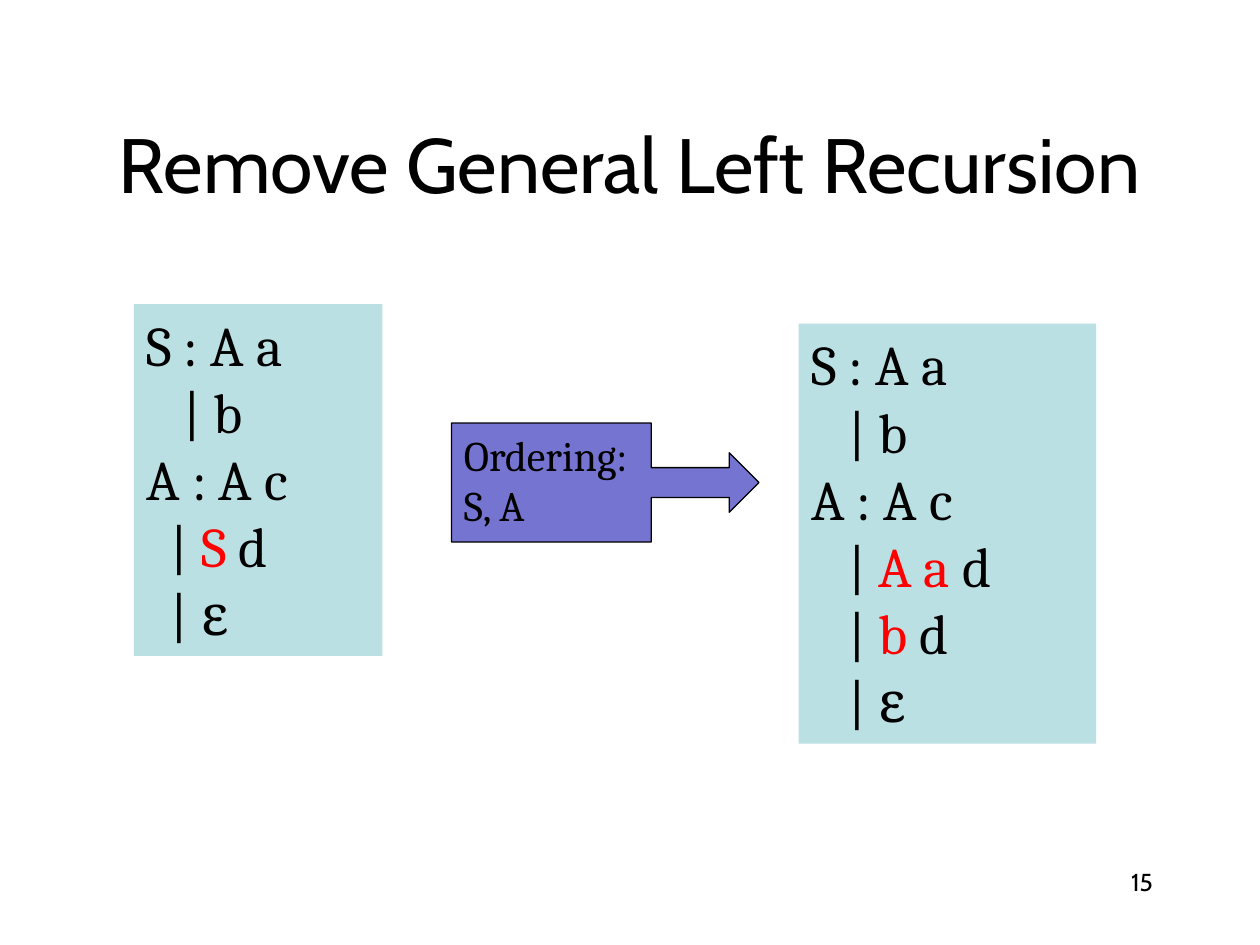
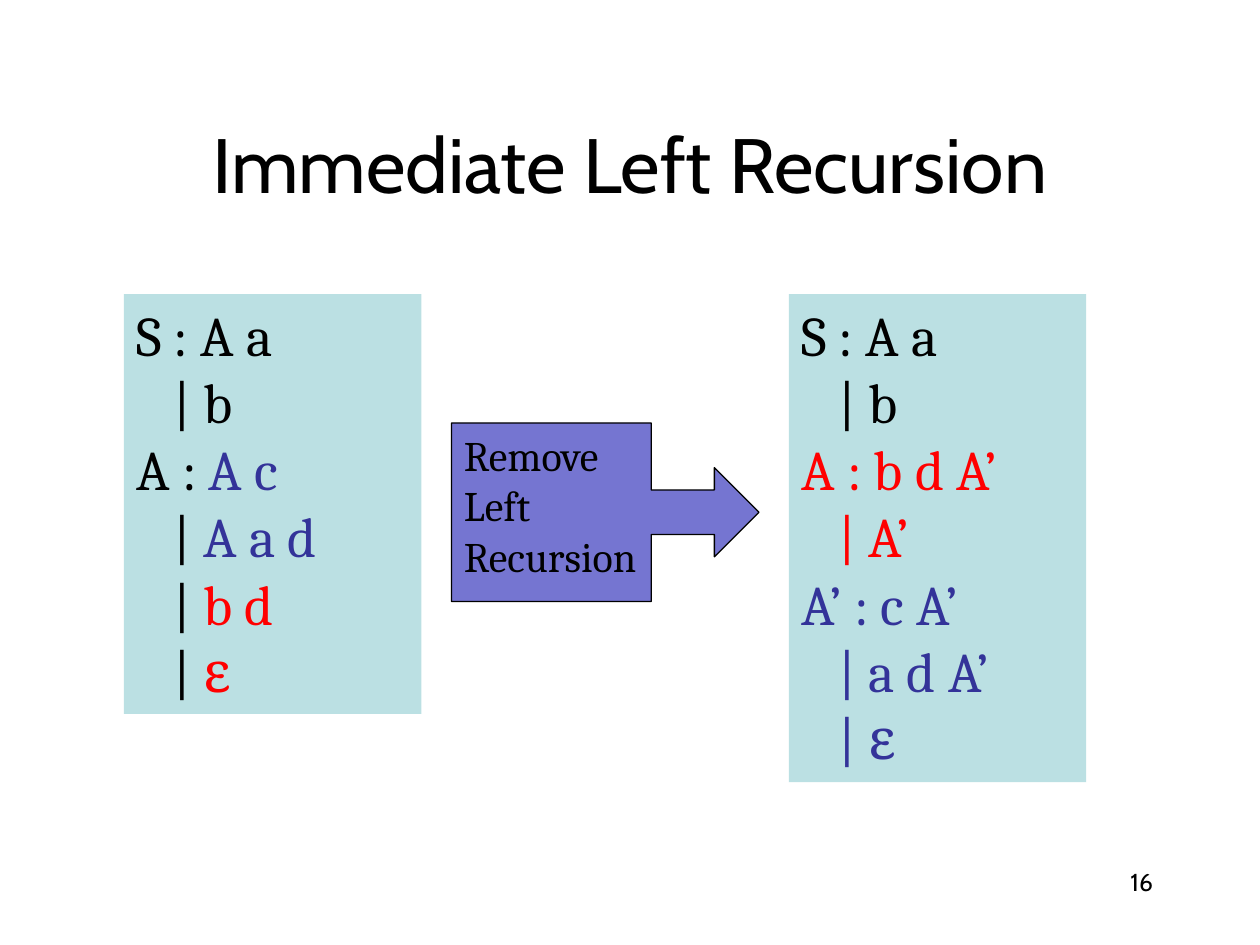
import pptx
import pptx.util
import pptx.dml.color
import pptx.enum.shapes
import pptx.enum.text

Pt = pptx.util.Pt
Color = pptx.dml.color.RGBColor
Shape = pptx.enum.shapes.MSO_SHAPE
Align = pptx.enum.text.PP_ALIGN
Anchor = pptx.enum.text.MSO_ANCHOR

BLACK = Color(0x00, 0x00, 0x00)
RED = Color(0xFF, 0x00, 0x00)
BLUE = Color(0x33, 0x33, 0x99)
PALE = Color(0xBB, 0xE0, 0xE3)
VIOLET = Color(0x75, 0x75, 0xD1)
WHITE = Color(0xFF, 0xFF, 0xFF)
HEAD, BODY = "Cabin", "Cambria"
SPACE = 7.04
LINE, PAD = 39, 6

START = [(0, [("S : A a", BLACK)]), (3, [("| b", BLACK)])]

SLIDES = [
    {
        "title": "Remove General Left Recursion",
        "page": "15",
        "step": ["Ordering:", "S, A"],
        "tall": 68,
        "rules": [
            (76.5, 173.75, 142, START + [
                (0, [("A : A c", BLACK)]),
                (2, [("| ", BLACK), ("S", RED), (" d", BLACK)]),
                (2, [("| ε", BLACK)]),
            ]),
            (456.4, 185, 170, START + [
                (0, [("A : A c", BLACK)]),
                (3, [("| ", BLACK), ("A a", RED), (" d", BLACK)]),
                (3, [("| ", BLACK), ("b", RED), (" d", BLACK)]),
                (3, [("| ε", BLACK)]),
            ]),
        ],
    },
    {
        "title": "Immediate Left Recursion",
        "page": "16",
        "step": ["Remove Left Recursion"],
        "tall": 102,
        "rules": [
            (70.75, 168, 170, START + [
                (0, [("A : ", BLACK), ("A c", BLUE)]),
                (3, [("| ", BLACK), ("A a d", BLUE)]),
                (3, [("| ", BLACK), ("b d", RED)]),
                (3, [("| ", BLACK), ("ε", RED)]),
            ]),
            (450.75, 168, 170, START + [
                (0, [("A : b d A’", RED)]),
                (3, [("| A’", RED)]),
                (0, [("A’ : c A’", BLUE)]),
                (3, [("| a d A’", BLUE)]),
                (3, [("| ε", BLUE)]),
            ]),
        ],
    },
]


def plain(lines):
    return [(0, [(line, BLACK)]) for line in lines]


def write(shape, lines, font, size, align=Align.LEFT, anchor=Anchor.TOP):
    frame = shape.text_frame
    frame.word_wrap = True
    frame.vertical_anchor = anchor
    for i, (indent, runs) in enumerate(lines):
        para = frame.paragraphs[0] if i == 0 else frame.add_paragraph()
        para.alignment = align
        if indent:
            para._p.get_or_add_pPr().set("marL", str(Pt(indent * SPACE)))
        for text, color in runs:
            run = para.add_run()
            run.text = text
            run.font.name = font
            run.font.size = Pt(size)
            run.font.color.rgb = color


def block(slide, kind, place, fill):
    shape = slide.shapes.add_shape(kind, *map(Pt, place))
    shape.shadow.inherit = False
    shape.fill.solid()
    shape.fill.fore_color.rgb = fill
    shape.line.fill.background()
    return shape


def label(slide, place, text, size, align, anchor):
    box = slide.shapes.add_textbox(*map(Pt, place))
    write(box, plain([text]), HEAD, size, align, anchor)


def build(deck, item):
    slide = deck.slides.add_slide(deck.slide_layouts[6])
    slide.background.fill.solid()
    slide.background.fill.fore_color.rgb = WHITE
    label(slide, (54, 48, 612, 90), item["title"], 44, Align.CENTER, Anchor.MIDDLE)
    label(slide, (516, 492, 150, 36), item["page"], 14, Align.RIGHT, Anchor.TOP)
    for left, top, width, lines in item["rules"]:
        place = (left, top, width, PAD + LINE * len(lines))
        write(block(slide, Shape.RECTANGLE, place, PALE), lines, BODY, 32)
    place = (258, 241.75, 175.75, item["tall"])
    arrow = block(slide, Shape.RIGHT_ARROW_CALLOUT, place, VIOLET)
    arrow.line.color.rgb = BLACK
    arrow.line.width = Pt(0.75)
    write(arrow, plain(item["step"]), BODY, 24)


def main():
    deck = pptx.Presentation()
    deck.slide_width, deck.slide_height = Pt(720), Pt(540)
    for item in SLIDES:
        build(deck, item)
    deck.save("out.pptx")


if __name__ == "__main__":
    main()
